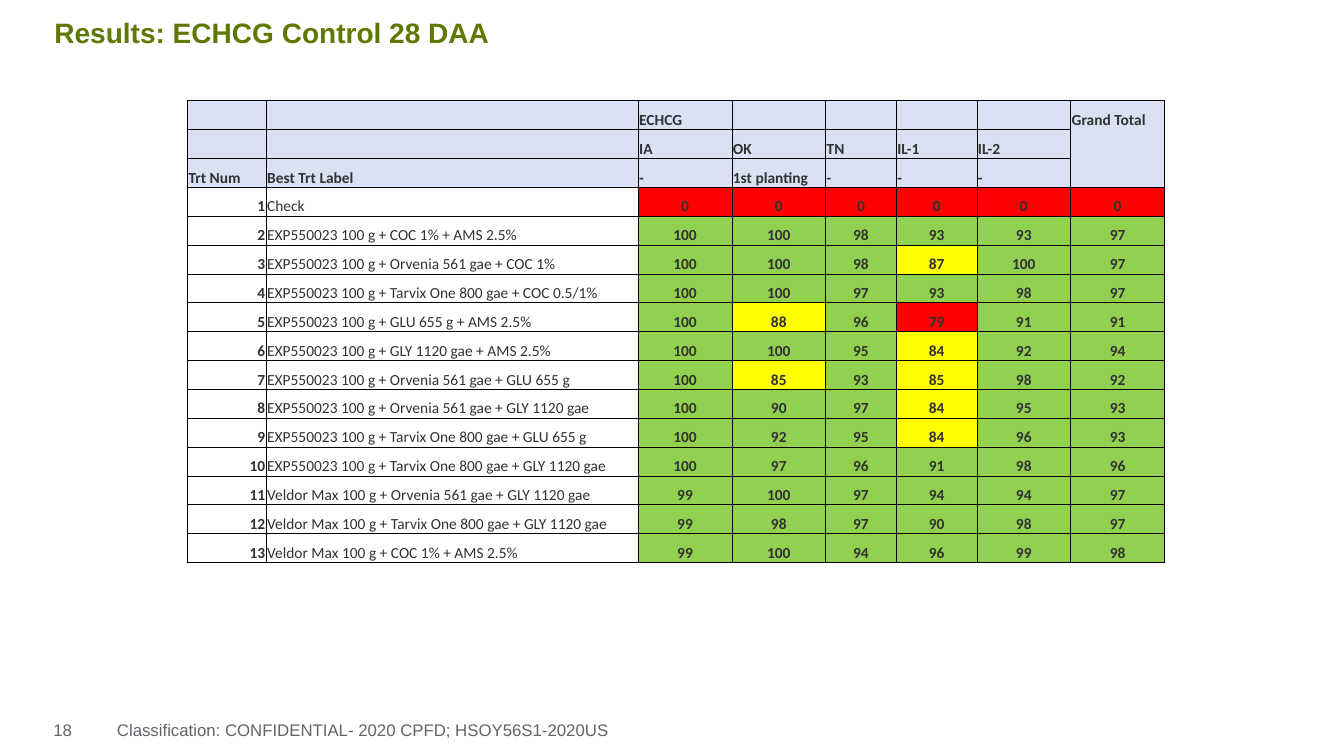
from lxml.etree import SubElement
from pptx import Presentation
from pptx.dml.color import RGBColor
from pptx.enum.text import MSO_ANCHOR, PP_ALIGN
from pptx.oxml.ns import qn
from pptx.util import Inches, Pt

COLORS = {
    "title": "5F7800",
    "footer": "626469",
    "text": "313234",
    "header": "D9E1F2",
    "border": "000000",
    "high": "92D050",
    "medium": "FFFF00",
    "low": "FF0000",
}
COL_WIDTHS = [0.78, 3.69, 0.93, 0.93, 0.7, 0.8, 0.93, 0.93]
HEADERS = [
    ["", "", "ECHCG", "", "", "", "", "Grand Total"],
    ["", "", "IA", "OK", "TN", "IL-1", "IL-2", ""],
    ["Trt Num", "Best Trt Label", "-", "1st planting", "-", "-", "-", ""],
]
TREATMENTS = [
    ("Check", [0, 0, 0, 0, 0, 0]),
    ("EXP550023 100 g + COC 1% + AMS 2.5%", [100, 100, 98, 93, 93, 97]),
    ("EXP550023 100 g + Orvenia 561 gae + COC 1%", [100, 100, 98, 87, 100, 97]),
    ("EXP550023 100 g + Tarvix One 800 gae + COC 0.5/1%", [100, 100, 97, 93, 98, 97]),
    ("EXP550023 100 g + GLU 655 g + AMS 2.5%", [100, 88, 96, 79, 91, 91]),
    ("EXP550023 100 g + GLY 1120 gae + AMS 2.5%", [100, 100, 95, 84, 92, 94]),
    ("EXP550023 100 g + Orvenia 561 gae + GLU 655 g", [100, 85, 93, 85, 98, 92]),
    ("EXP550023 100 g + Orvenia 561 gae + GLY 1120 gae", [100, 90, 97, 84, 95, 93]),
    ("EXP550023 100 g + Tarvix One 800 gae + GLU 655 g", [100, 92, 95, 84, 96, 93]),
    ("EXP550023 100 g + Tarvix One 800 gae + GLY 1120 gae", [100, 97, 96, 91, 98, 96]),
    ("Veldor Max 100 g + Orvenia 561 gae + GLY 1120 gae", [99, 100, 97, 94, 94, 97]),
    ("Veldor Max 100 g + Tarvix One 800 gae + GLY 1120 gae", [99, 98, 97, 90, 98, 97]),
    ("Veldor Max 100 g + COC 1% + AMS 2.5%", [99, 100, 94, 96, 99, 98]),
]


def write_text(tf, text, font="Arial", size=12, color="text", bold=False,
               align=PP_ALIGN.LEFT, space_after=0, line_spacing=1.0):
    p = tf.paragraphs[0]
    p.alignment = align
    p.space_after = Pt(space_after)
    p.line_spacing = line_spacing
    if not text:
        p._p.get_or_add_endParaRPr().set("sz", str(size * 100))
        return
    r = p.add_run()
    r.text = text
    r.font.name = font
    r.font.size = Pt(size)
    r.font.bold = bold
    r.font.color.rgb = RGBColor.from_string(COLORS[color])


def control_color(value):
    if value >= 90:
        return "high"
    return "medium" if value >= 80 else "low"


class SlideBuilder:
    def __init__(self, prs):
        self.s = prs.slides.add_slide(prs.slide_layouts[6])
        self.cell_font = {"font": "Calibri", "size": 11}

    def text(self, text, box, margins, anchor=MSO_ANCHOR.TOP, **style):
        sp = self.s.shapes.add_textbox(*map(Inches, box))
        tf = sp.text_frame
        tf.word_wrap = True
        tf.vertical_anchor = anchor
        (tf.margin_left, tf.margin_top,
         tf.margin_right, tf.margin_bottom) = map(Inches, margins)
        write_text(tf, text, **style)

    def borders(self, cell, hidden):
        tc_pr = cell._tc.get_or_add_tcPr()
        for side in "LRTB":
            ln = SubElement(tc_pr, qn(f"a:ln{side}"), w=str(Pt(0.5)))
            if side in hidden:
                SubElement(ln, qn("a:noFill"))
            else:
                fill = SubElement(ln, qn("a:solidFill"))
                SubElement(fill, qn("a:srgbClr"), val=COLORS["border"])

    def cell(self, cell, text, fill=None, hidden="", **style):
        cell.margin_left = cell.margin_top = cell.margin_right = Inches(0.01)
        cell.margin_bottom = 0
        cell.vertical_anchor = MSO_ANCHOR.BOTTOM
        self.borders(cell, hidden)
        if fill:
            cell.fill.solid()
            cell.fill.fore_color.rgb = RGBColor.from_string(COLORS[fill])
        else:
            cell.fill.background()
        write_text(cell.text_frame, text, **self.cell_font, **style)

    def results_table(self, left, top, height):
        rows = len(HEADERS) + len(TREATMENTS)
        table = self.s.shapes.add_table(
            rows, len(COL_WIDTHS), Inches(left), Inches(top),
            Inches(sum(COL_WIDTHS)), Inches(height)).table
        table.first_row = table.horz_banding = False
        for col, width in zip(table.columns, COL_WIDTHS):
            col.width = Inches(width)
        total_col = len(COL_WIDTHS) - 1
        for i, labels in enumerate(HEADERS):
            for j, label in enumerate(labels):
                hidden = ("B", "TB", "T")[i] if j == total_col else ""
                self.cell(table.cell(i, j), label, "header", hidden, bold=True)
        for num, (label, values) in enumerate(TREATMENTS, 1):
            i = len(HEADERS) + num - 1
            self.cell(table.cell(i, 0), str(num), bold=True, align=PP_ALIGN.RIGHT)
            self.cell(table.cell(i, 1), label)
            for j, value in enumerate(values, 2):
                self.cell(table.cell(i, j), str(value), control_color(value),
                          bold=True, align=PP_ALIGN.CENTER)


def main():
    prs = Presentation()
    prs.slide_width = Inches(13.33)
    prs.slide_height = Inches(7.5)
    slide = SlideBuilder(prs)
    slide.text("18", (0.43, 7.09, 0.81, 0.41), (0.1, 0.05, 0.1, 0.05),
               color="footer", space_after=6)
    slide.text("Results: ECHCG Control 28 DAA", (0.54, 0.1, 12.33, 0.49),
               (0, 0, 0, 0), MSO_ANCHOR.MIDDLE, size=20, color="title",
               bold=True, line_spacing=0.9)
    slide.text("Classification: CONFIDENTIAL- 2020 CPFD; HSOY56S1-2020US",
               (1.16, 7.09, 8.39, 0.41), (0, 0.05, 0.1, 0.05),
               color="footer", space_after=6)
    slide.results_table(1.86, 1, 4.58)
    prs.save("out.pptx")


if __name__ == "__main__":
    main()
